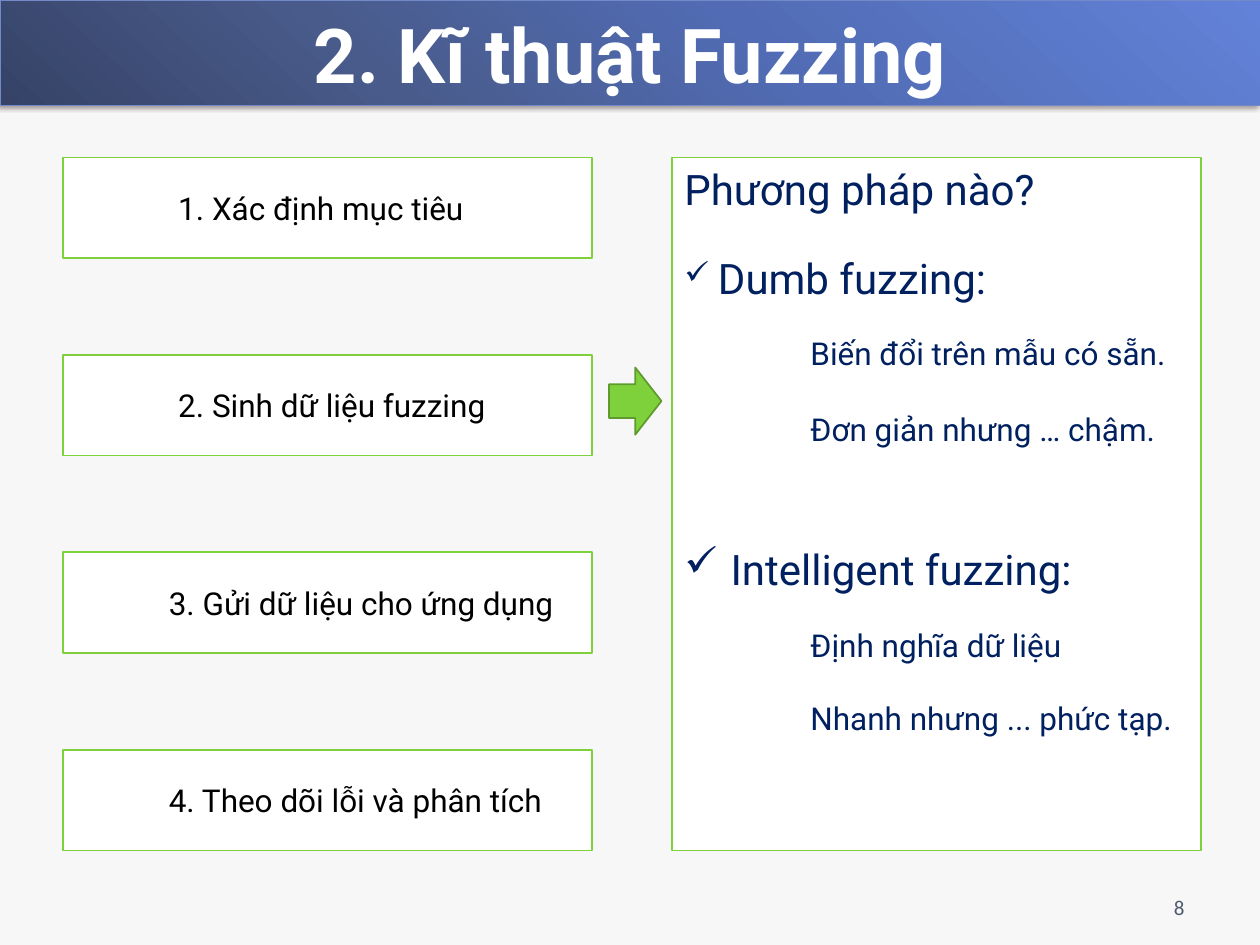
from lxml.etree import SubElement
from pptx import Presentation
from pptx.dml.color import RGBColor
from pptx.enum.shapes import MSO_SHAPE
from pptx.enum.text import MSO_ANCHOR, PP_ALIGN
from pptx.oxml import parse_xml
from pptx.oxml.ns import nsdecls, qn
from pptx.util import Inches, Pt

# Grid of 120 columns by 90 rows on a 10 by 7.5 inch slide
WIDTH, HEIGHT = Inches(10), Inches(7.5)
COL, ROW = WIDTH / 120, HEIGHT / 90

COLORS = {
    "back": "F7F7F7", "white": "FFFFFF", "black": "000000", "navy": "002060",
    "gray": "4E5B6F", "green": "7FD13B", "moss": "5E9B2C", "rim": "738AC8",
}
BLUES = [(0, "6282D9"), (40, "516CB4"), (70, "495B8B"), (100, "364367")]

STEPS = [  # text, indent in columns
    ("1. Xác định mục tiêu", 9.8),
    ("2. Sinh dữ liệu fuzzing", 9.8),
    ("3. Gửi dữ liệu cho ứng dụng", 8.9),
    ("4. Theo dõi lỗi và phân tích", 8.9),
]
NOTES = [  # text, left, top, width, height, indent
    ("Biến đổi trên mẫu có sẵn.", 64, 31.2, 50, 5, 12),
    ("Đơn giản nhưng … chậm.", 64, 38.5, 50, 8.5, 12),
    ("Định nghĩa dữ liệu", 76, 59, 33, 4.8, 0),
    ("Nhanh nhưng ... phức tạp.", 64, 66, 50, 8.5, 12),
]


def color(name):
    return RGBColor.from_string(COLORS[name])


def place(left, top, width, height):
    return [round(n) for n in (left * COL, top * ROW, width * COL, height * ROW)]


def write(frame, text, size=18, tint="navy", font="Roboto", bold=False,
          align=PP_ALIGN.LEFT, anchor=MSO_ANCHOR.TOP, indent=0, before=0,
          mark=None, scale=100):
    """Fill the first paragraph, or add one after it."""
    frame.word_wrap = True
    frame.vertical_anchor = anchor
    para = frame.add_paragraph() if frame.text else frame.paragraphs[0]
    props = para._p.get_or_add_pPr()
    props.set("marL", str(round(indent * COL)))
    if mark:
        props.set("indent", str(-round(indent * COL)))
        SubElement(props, qn("a:buSzPct"), val=str(scale * 1000))
        SubElement(props, qn("a:buChar"), char=mark)
    para.alignment = align
    para.space_before = Pt(before)
    run = para.add_run()
    run.text = text
    run.font.size, run.font.name, run.font.bold = Pt(size), font, bold
    run.font.color.rgb = color(tint)


def draw(slide, kind, spot, fill, line, weight=1):
    shape = slide.shapes.add_shape(kind, *place(*spot))
    shape.shadow.inherit = False
    shape.fill.solid()
    shape.fill.fore_color.rgb = color(fill)
    shape.line.color.rgb = color(line)
    shape.line.width = Pt(weight)
    return shape


def label(slide, spot, text, **form):
    write(slide.shapes.add_textbox(*place(*spot)).text_frame, text, **form)


def banner(slide, text):
    shape = draw(slide, MSO_SHAPE.RECTANGLE, (0, 0, 120, 10), "rim", "rim", 0.39)
    props = shape._element.spPr
    # Gradient from the top right to the bottom left
    stops = "".join(f'<a:gs pos="{pos * 1000}"><a:srgbClr val="{hue}"/></a:gs>'
                    for pos, hue in BLUES)
    blend = parse_xml(f'<a:gradFill {nsdecls("a")}><a:gsLst>{stops}</a:gsLst>'
                      f'<a:lin ang="{133 * 60000}" scaled="0"/></a:gradFill>')
    props.replace(props.find(qn("a:solidFill")), blend)
    # Soft shadow under the bar
    shade = SubElement(props.find(qn("a:effectLst")), qn("a:outerShdw"),
                       blurRad=str(Pt(3.1)), dist=str(Pt(2)),
                       dir=str(150 * 60000), algn="tl", rotWithShape="0")
    tone = SubElement(shade, qn("a:srgbClr"), val="1A0000")
    SubElement(tone, qn("a:alpha"), val="40000")
    write(shape.text_frame, text, size=43.2, tint="white", bold=True,
          align=PP_ALIGN.CENTER, anchor=MSO_ANCHOR.BOTTOM)


def panel(slide):
    shape = draw(slide, MSO_SHAPE.RECTANGLE, (64, 15, 50.4, 66), "white", "green")
    frame = shape.text_frame
    write(frame, "Phương pháp nào?", size=24)
    write(frame, "Dumb fuzzing:", size=24, before=22, indent=3.2,
          mark="✓", scale=75)
    write(frame, "Intelligent fuzzing:", size=24, before=137.5, indent=4.4,
          mark="✓")


def main():
    deck = Presentation()
    deck.slide_width, deck.slide_height = WIDTH, HEIGHT
    slide = deck.slides.add_slide(deck.slide_layouts[6])
    slide.background.fill.solid()
    slide.background.fill.fore_color.rgb = color("back")

    # Page number and title
    label(slide, (86, 82, 28, 6.2), "8", size=12, font="Calibri", tint="gray",
          align=PP_ALIGN.RIGHT, anchor=MSO_ANCHOR.BOTTOM)
    banner(slide, "2. Kĩ thuật Fuzzing")

    # Methods on the right
    panel(slide)
    draw(slide, MSO_SHAPE.RIGHT_ARROW, (58, 35, 5, 6.4), "green", "moss")
    for text, left, top, width, height, indent in NOTES:
        label(slide, (left, top, width, height), text, indent=indent)

    # Steps on the left
    for row, (text, indent) in enumerate(STEPS):
        box = draw(slide, MSO_SHAPE.RECTANGLE, (6, 15 + 18.8 * row, 50.4, 9.6),
                   "white", "green")
        write(box.text_frame, text, tint="black", indent=indent,
              anchor=MSO_ANCHOR.MIDDLE)

    deck.save("out.pptx")


if __name__ == "__main__":
    main()
